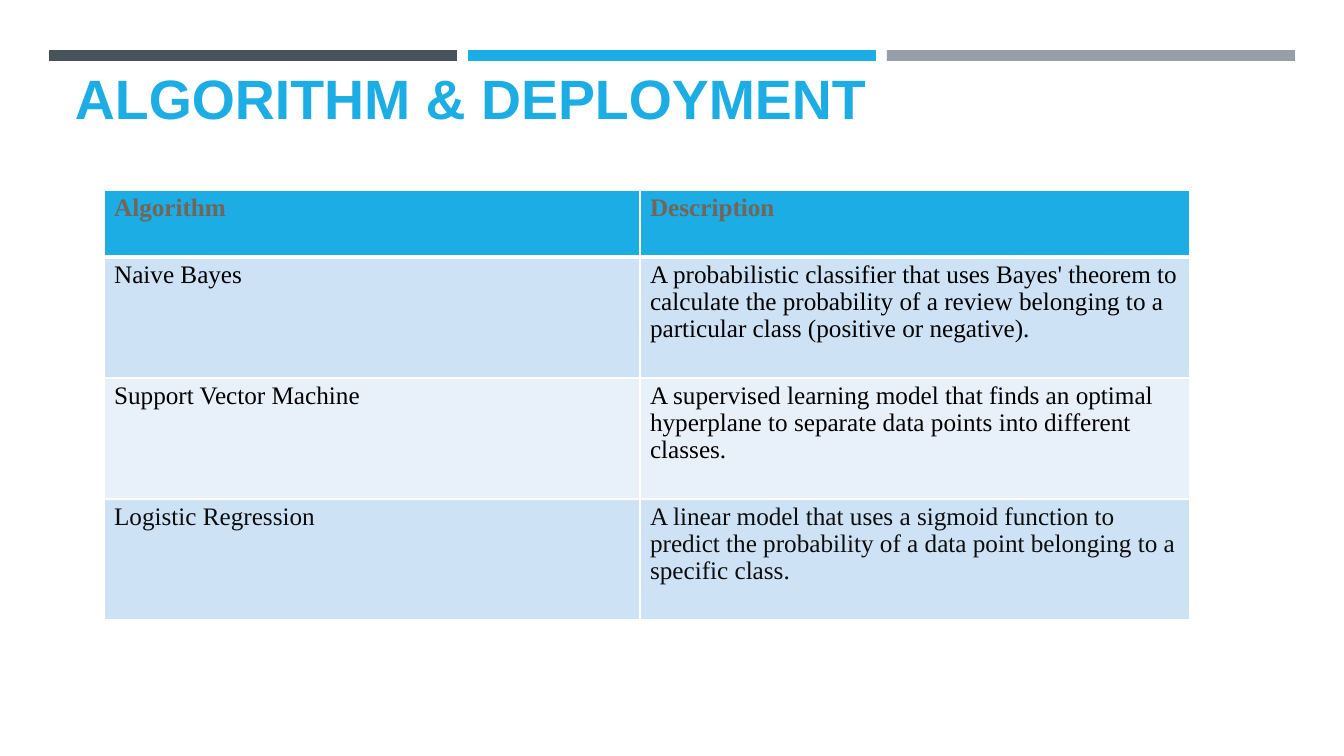
from lxml.etree import SubElement
from pptx import Presentation
from pptx.dml.color import RGBColor as Rgb
from pptx.enum.shapes import MSO_SHAPE as Shape
from pptx.enum.text import MSO_ANCHOR as Anchor
from pptx.oxml.ns import qn
from pptx.util import Emu, Pt

THEME = {
    "accent": "1CADE4", "slate": "465359", "grey": "969FA7", "border": "FFFFFF",
    "band_dark": "CDE3F5", "band_light": "E8F1FA",
    "header_ink": "746558", "ink": "000000", "soft_ink": "0D0D0D",
    "title_font": "Arial", "table_font": "Times New Roman",
    "title_size": 39.6, "table_size": 18,
}
EMU_PER_PX = 914400 / 100.8


def px(*lengths):
    return [Emu(round(length * EMU_PER_PX)) for length in lengths]


def write(frame, text, ink, **font_format):
    paragraph = frame.paragraphs[0]
    run = paragraph.add_run()
    run.text = text
    run.font.color.rgb = Rgb.from_string(THEME[ink])
    for key, value in font_format.items():
        setattr(run.font, key, value)
    return paragraph


deck = Presentation()
deck.slide_width, deck.slide_height = px(1344, 756)
slide = deck.slides.add_slide(deck.slide_layouts[6])

# Three bars across the top
for i, color in enumerate(("slate", "accent", "grey")):
    bar = slide.shapes.add_shape(Shape.RECTANGLE, *px(49 + i * 419, 50, 408, 11))
    bar.shadow.inherit = False
    bar.fill.solid()
    bar.fill.fore_color.rgb = Rgb.from_string(THEME[color])
    bar.line.fill.background()

# Title
title = slide.shapes.add_textbox(*px(65, 78, 1216, 58)).text_frame
title.word_wrap = True
title.vertical_anchor = Anchor.BOTTOM
write(title, "ALGORITHM & DEPLOYMENT", "accent", bold=True,
      name=THEME["title_font"], size=Pt(THEME["title_size"]))

# Algorithm table: fill, ink, cell texts
algorithms = [
    ("accent", "header_ink", ("Algorithm", "Description")),
    ("band_dark", "ink", (
        "Naive Bayes",
        "A probabilistic classifier that uses Bayes' theorem to calculate the "
        "probability of a review belonging to a particular class (positive or negative).")),
    ("band_light", "ink", (
        "Support Vector Machine",
        "A supervised learning model that finds an optimal hyperplane to separate "
        "data points into different classes.")),
    ("band_dark", "soft_ink", (
        "Logistic Regression",
        "A linear model that uses a sigmoid function to predict the probability of "
        "a data point belonging to a specific class.")),
]
table = slide.shapes.add_table(len(algorithms), 2, *px(104, 190, 1086, 430)).table
for column, width in zip(table.columns, px(536, 550)):
    column.width = width
for row, height in zip(table.rows, px(67, 121, 121, 121)):
    row.height = height

for r, (band, ink, texts) in enumerate(algorithms):
    for c, text in enumerate(texts):
        cell = table.cell(r, c)
        paragraph = write(cell.text_frame, text, ink, bold=r == 0,
                          name=THEME["table_font"], size=Pt(THEME["table_size"]))
        paragraph.line_spacing = 0.96

        # White borders, heavier between header and body
        properties = cell._tc.get_or_add_tcPr()
        for side in "LRTB":
            heavy = (r, side) in ((0, "B"), (1, "T"))
            line = SubElement(properties, qn(f"a:ln{side}"), w=str(Pt(3 if heavy else 1)))
            fill = SubElement(line, qn("a:solidFill"))
            SubElement(fill, qn("a:srgbClr"), val=THEME["border"])
        cell.fill.solid()
        cell.fill.fore_color.rgb = Rgb.from_string(THEME[band])

deck.save("out.pptx")
